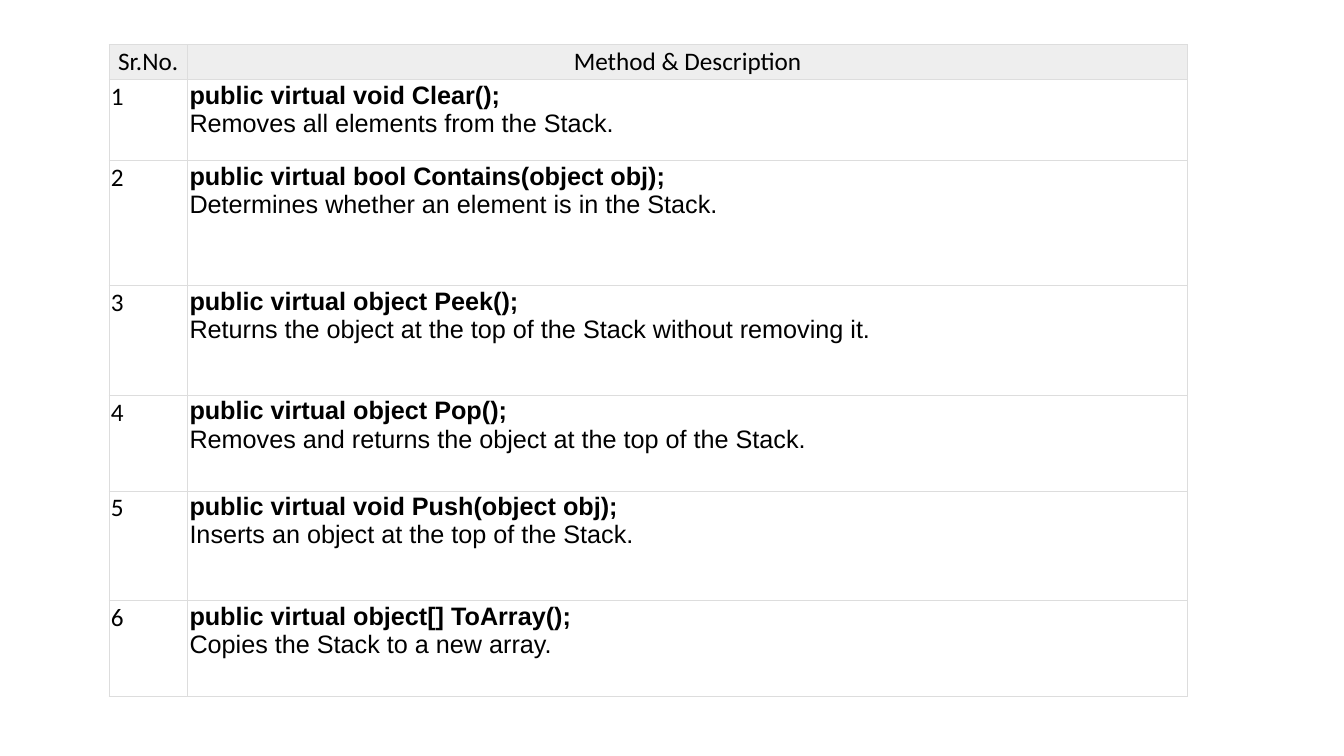
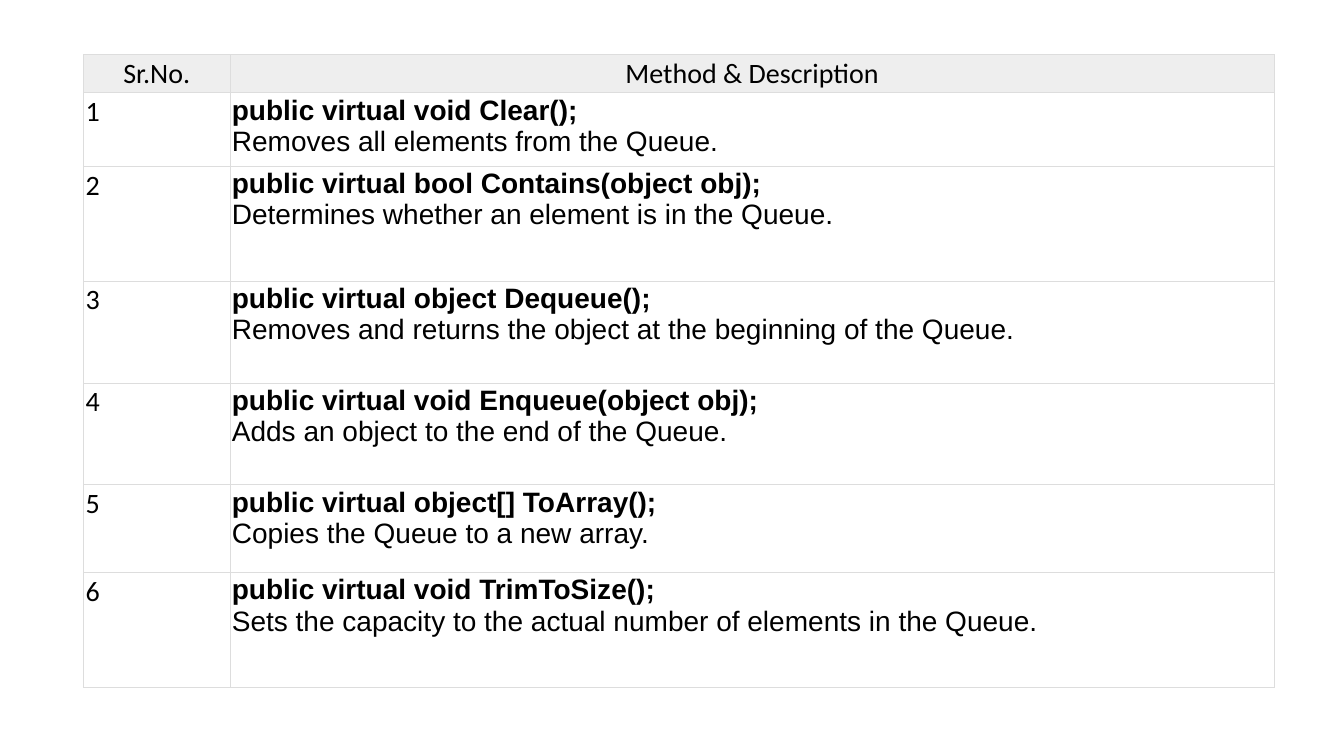
from lxml.etree import SubElement
from pptx import Presentation
from pptx.dml.color import RGBColor
from pptx.enum.text import PP_ALIGN as Align
from pptx.oxml.ns import qn
from pptx.util import Inches, Pt

COLORS = {"text": "000000", "header": "EEEEEE", "border": "DDDDDD"}
HEADINGS = ("Sr.No.", "Method & Description")
CELL_MARGIN = Inches(0.02)
BORDER_WIDTH = Pt(0.5)

# Font and alignment of each kind of paragraph
FORMATS = {
    "header": {"name": "Calibri", "bold": False, "align": Align.CENTER},
    "number": {"name": "Calibri", "bold": False, "align": Align.LEFT},
    "method": {"name": "Arial", "bold": True, "align": Align.JUSTIFY},
    "description": {"name": "Arial", "bold": False, "align": Align.JUSTIFY},
}


class Deck:
    """Holds the presentation, its style and the current slide."""

    def __init__(self):
        self.presentation = Presentation()
        self.presentation.slide_width = Inches(13.33)
        self.presentation.slide_height = Inches(7.5)
        self.slide = None

    def add_slide(self):
        blank_layout = self.presentation.slide_layouts[6]
        self.slide = self.presentation.slides.add_slide(blank_layout)

    def add_borders(self, cell):
        properties = cell._tc.get_or_add_tcPr()
        for side in ("a:lnL", "a:lnR", "a:lnT", "a:lnB"):
            line = SubElement(properties, qn(side), w=str(BORDER_WIDTH))
            fill = SubElement(line, qn("a:solidFill"))
            SubElement(fill, qn("a:srgbClr"), val=COLORS["border"])

    def write_paragraph(self, paragraph, text, kind, size):
        style = dict(FORMATS[kind], size=Pt(size))
        paragraph.alignment = style.pop("align")
        run = paragraph.add_run()
        run.text = text
        run.font.color.rgb = RGBColor.from_string(COLORS["text"])
        for attribute, value in style.items():
            setattr(run.font, attribute, value)

    def fill_cell(self, cell, lines, size, fill=None):
        for side in ("left", "right", "top", "bottom"):
            setattr(cell, f"margin_{side}", CELL_MARGIN)
        self.add_borders(cell)
        if fill:
            cell.fill.solid()
            cell.fill.fore_color.rgb = RGBColor.from_string(COLORS[fill])
        else:
            cell.fill.background()
        frame = cell.text_frame
        for index, (text, kind) in enumerate(lines):
            paragraph = frame.add_paragraph() if index else frame.paragraphs[0]
            self.write_paragraph(paragraph, text, kind, size)

    def add_method_table(self, left, top, widths, heights, size, methods):
        frame = self.slide.shapes.add_table(
            len(heights), len(widths), Inches(left), Inches(top),
            Inches(sum(widths)), Inches(sum(heights)))
        table = frame.table
        table.first_row = table.horz_banding = False
        for column, width in zip(table.columns, widths):
            column.width = Inches(width)
        for row, height in zip(table.rows, heights):
            row.height = Inches(height)

        # Header row
        for index, heading in enumerate(HEADINGS):
            self.fill_cell(table.cell(0, index), [(heading, "header")], size, "header")

        # Numbered method rows
        for number, (method, description) in enumerate(methods, start=1):
            self.fill_cell(table.cell(number, 0), [(str(number), "number")], size)
            lines = [(method, "method"), (description, "description")]
            self.fill_cell(table.cell(number, 1), lines, size)


deck = Deck()

# Slide 1: Stack methods
deck.add_slide()
deck.add_method_table(
    1.08, 0.44, widths=(0.78, 9.92),
    heights=(0.35, 0.8, 1.24, 1.09, 0.95, 1.09, 0.95), size=18,
    methods=[
        ("public virtual void Clear();", "Removes all elements from the Stack."),
        ("public virtual bool Contains(object obj);",
         "Determines whether an element is in the Stack."),
        ("public virtual object Peek();",
         "Returns the object at the top of the Stack without removing it."),
        ("public virtual object Pop();",
         "Removes and returns the object at the top of the Stack."),
        ("public virtual void Push(object obj);",
         "Inserts an object at the top of the Stack."),
        ("public virtual object[] ToArray();", "Copies the Stack to a new array."),
    ])

# Slide 2: Queue methods
deck.add_slide()
deck.add_method_table(
    0.83, 0.54, widths=(1.45, 10.36),
    heights=(0.32, 0.73, 1.14, 1.01, 1.01, 0.87, 1.14), size=20,
    methods=[
        ("public virtual void Clear();", "Removes all elements from the Queue."),
        ("public virtual bool Contains(object obj);",
         "Determines whether an element is in the Queue."),
        ("public virtual object Dequeue();",
         "Removes and returns the object at the beginning of the Queue."),
        ("public virtual void Enqueue(object obj);",
         "Adds an object to the end of the Queue."),
        ("public virtual object[] ToArray();", "Copies the Queue to a new array."),
        ("public virtual void TrimToSize();",
         "Sets the capacity to the actual number of elements in the Queue."),
    ])

deck.presentation.save("out.pptx")
